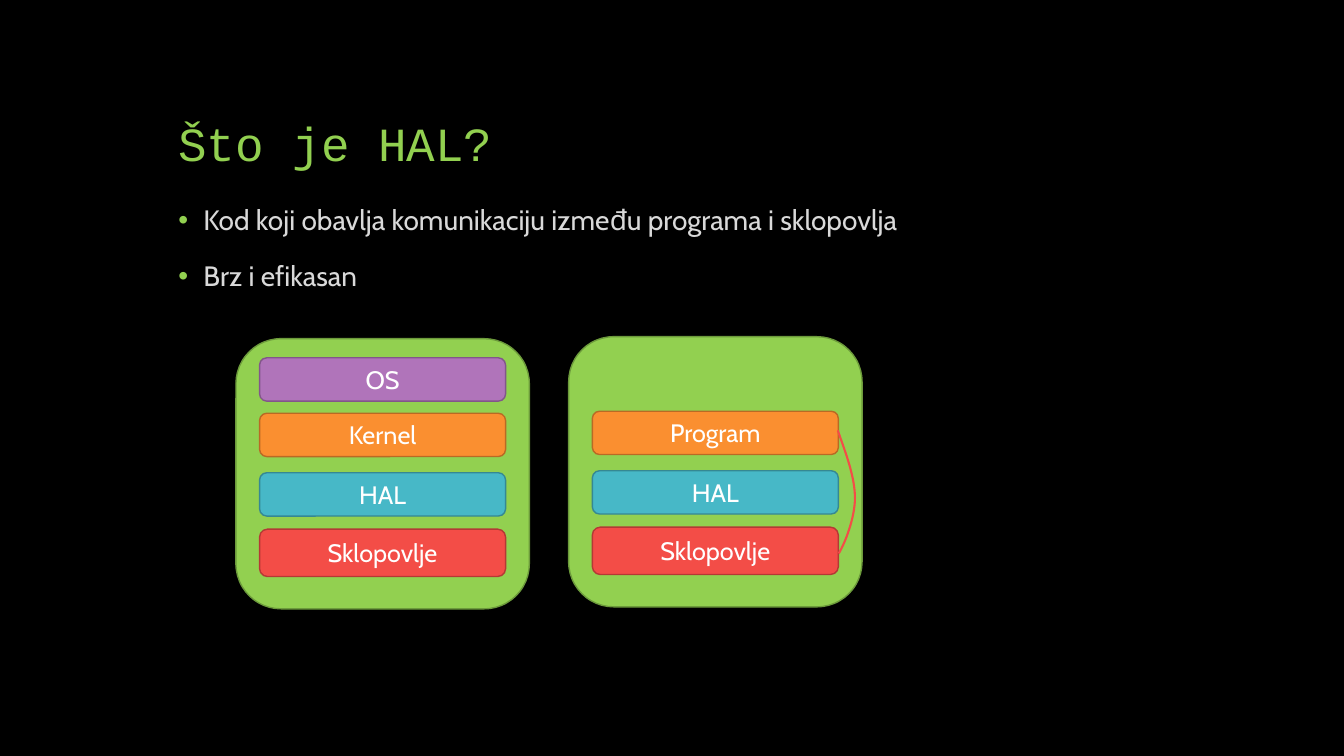
"""Builds the slide that explains what a HAL is, with two layer stacks."""
from lxml import etree
from pptx import Presentation, util as u
from pptx.dml.color import RGBColor
from pptx.enum import shapes, text
from pptx.oxml.ns import qn

COLORS = {
    "black": "000000", "white": "FFFFFF", "text": "D9D9D9",
    "green": "92D050", "green_edge": "6C9A3B",
    "red": "F34D47", "red_edge": "B43935",
    "teal": "47B8C7", "teal_edge": "358893",
    "orange": "FA8F30", "orange_edge": "B96A24",
    "purple": "B074BA", "purple_edge": "82568A",
}


def style_run(p, font, size, color):
    r = p.runs[0]
    r.font.name = font
    r.font.size = u.Pt(size)
    r.font.color.rgb = RGBColor.from_string(COLORS[color])


def add_box(s, x, y, w, h, color):
    sp = s.shapes.add_shape(shapes.MSO_SHAPE.ROUNDED_RECTANGLE,
                            *(u.Inches(v) for v in (x, y, w, h)))
    sp.shadow.inherit = False
    sp.fill.solid()
    sp.fill.fore_color.rgb = RGBColor.from_string(COLORS[color])
    sp.line.color.rgb = RGBColor.from_string(COLORS[color + "_edge"])
    sp.line.width = u.Pt(1)
    return sp


prs = Presentation()
prs.slide_width, prs.slide_height = u.Inches(13.33), u.Inches(7.5)
s = prs.slides.add_slide(prs.slide_layouts[5])
s.background.fill.solid()
s.background.fill.fore_color.rgb = RGBColor.from_string(COLORS["black"])

LEFT, WIDTH = u.Inches(1.67), u.Inches(10)

title = s.shapes.title
title.left, title.top, title.width, title.height = LEFT, u.Inches(0.5), WIDTH, u.Inches(1.25)
tf = title.text_frame
tf.text = "Što je HAL?"
tf.word_wrap = True
tf.auto_size = text.MSO_AUTO_SIZE.NONE
tf.vertical_anchor = text.MSO_ANCHOR.BOTTOM
p = tf.paragraphs[0]
p.alignment = text.PP_ALIGN.LEFT
p.line_spacing = 0.9
style_run(p, "Courier New", 34, "green")

body = s.shapes.add_textbox(LEFT, u.Inches(2), WIDTH, u.Inches(4.67))
tf = body.text_frame
tf.word_wrap = True
tf.text = "Kod koji obavlja komunikaciju između programa i sklopovlja\nBrz i efikasan"
for p in tf.paragraphs:
    p.line_spacing = 0.9
    p.space_before = u.Pt(18)
    style_run(p, "Cabin", 20, "text")
    pPr = p._p.get_or_add_pPr()
    pPr.set("marL", str(u.Inches(0.25)))
    pPr.set("indent", str(-u.Inches(0.25)))
    buClr = etree.SubElement(pPr, qn("a:buClr"))
    etree.SubElement(buClr, qn("a:srgbClr"), val=COLORS["green"])
    etree.SubElement(pPr, qn("a:buFont"), typeface="Arial")
    etree.SubElement(pPr, qn("a:buChar"), char="•")

LAYERS = [("red", 1.89, 0.47), ("teal", 1.33, 0.43),
          ("orange", 0.74, 0.43), ("purple", 0.19, 0.43)]
STACKS = [(2.34, 3.36, ["Sklopovlje", "HAL", "Kernel", "OS"]),
          (5.64, 3.34, ["Sklopovlje", "HAL", "Program"])]
for x, y, names in STACKS:
    add_box(s, x, y, 2.91, 2.68, "green")
    for name, (color, dy, h) in zip(names, LAYERS):
        layer = add_box(s, x + 0.235, y + dy, 2.44, h, color)
        tf = layer.text_frame
        tf.text = name
        tf.vertical_anchor = text.MSO_ANCHOR.MIDDLE
        p = tf.paragraphs[0]
        p.alignment = text.PP_ALIGN.CENTER
        style_run(p, "Cabin", 18, "white")

CURVES = [((8.31, 4.27), (8.39, 4.5), (8.48, 4.73), (8.48, 4.94)),
          ((8.48, 4.94), (8.48, 5.14), (8.38, 5.39), (8.32, 5.49))]
STEPS = 16
points = []
for curve in CURVES:
    for i in range(1, STEPS + 1):
        t = i / STEPS
        weights = ((1 - t) ** 3, 3 * t * (1 - t) ** 2, 3 * t ** 2 * (1 - t), t ** 3)
        points.append(tuple(u.Inches(sum(k * v for k, v in zip(weights, axis)))
                            for axis in zip(*curve)))
fb = s.shapes.build_freeform(*(u.Inches(v) for v in CURVES[0][0]))
fb.add_line_segments(points, close=False)
bypass = fb.convert_to_shape()
bypass.shadow.inherit = False
bypass.fill.background()
bypass.line.color.rgb = RGBColor.from_string(COLORS["red"])
bypass.line.width = u.Pt(1.5)

prs.save("out.pptx")
